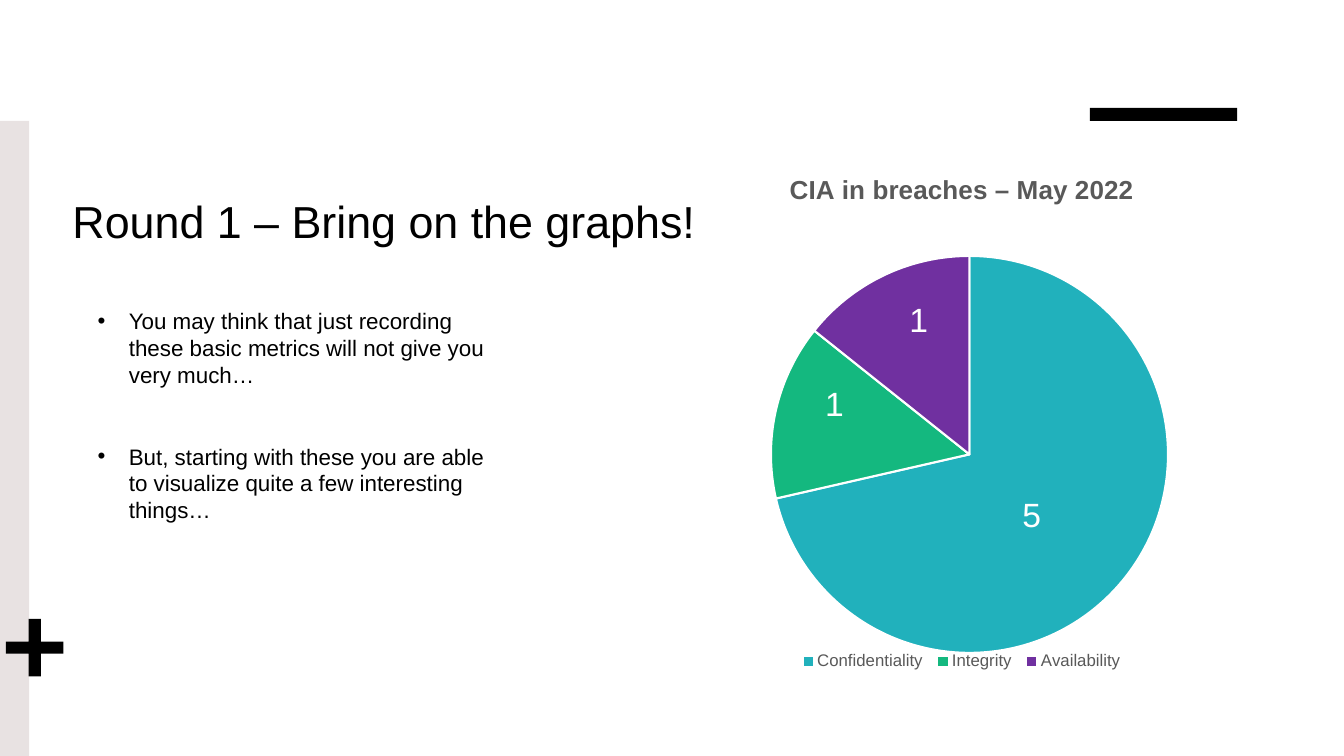
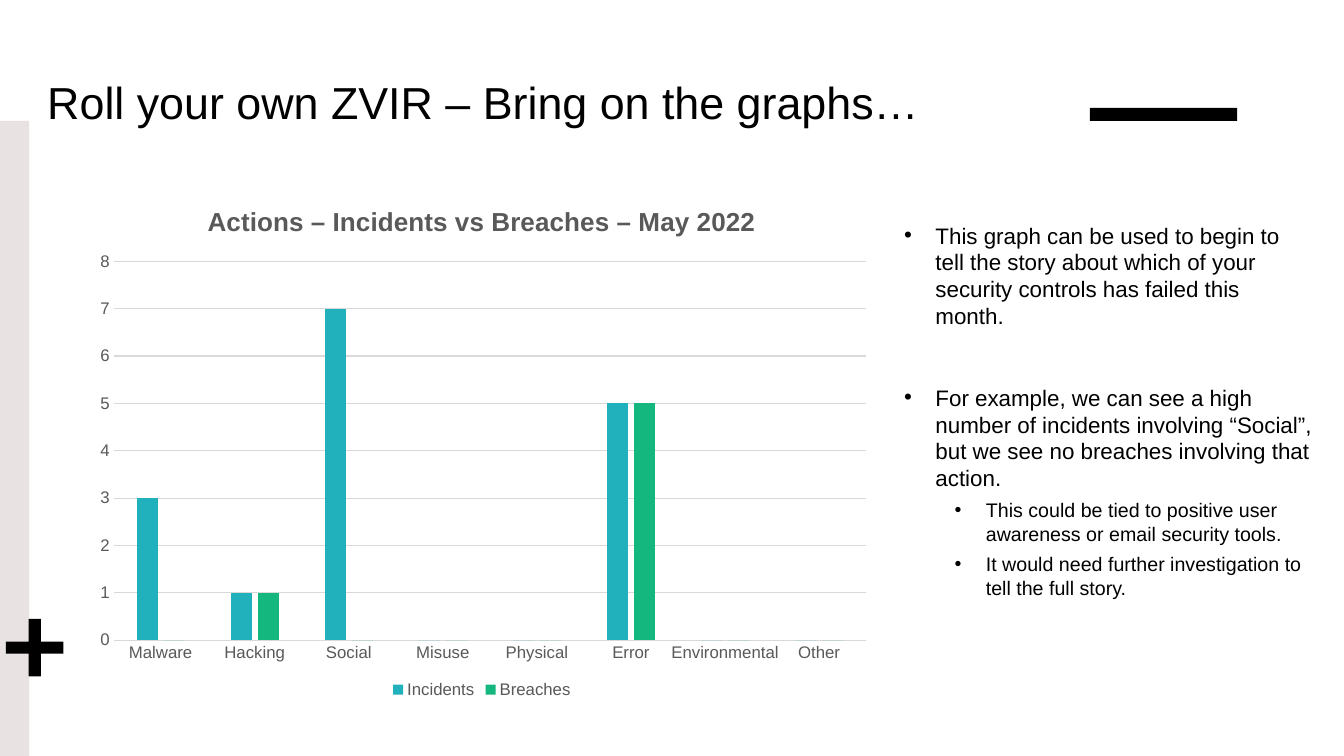
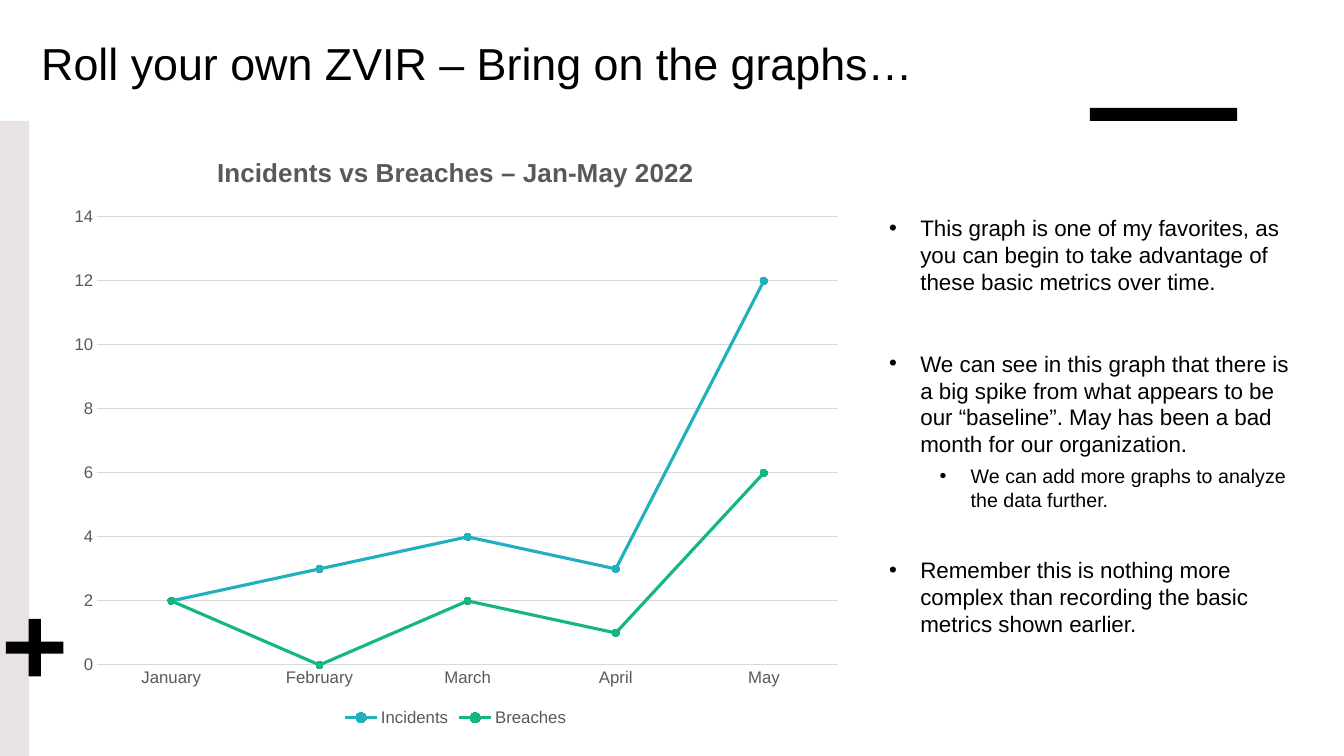
from lxml.etree import SubElement
from pptx import Presentation
from pptx.chart.data import CategoryChartData
from pptx.dml.color import RGBColor
from pptx.enum.chart import XL_CHART_TYPE as CT, XL_LABEL_POSITION as LP
from pptx.enum.chart import XL_LEGEND_POSITION as LEG, XL_MARKER_STYLE as MK
from pptx.enum.chart import XL_TICK_MARK as TM
from pptx.enum.shapes import MSO_SHAPE as SH
from pptx.enum.text import MSO_ANCHOR as ANCHOR
from pptx.oxml import parse_xml
from pptx.oxml.ns import nsdecls, qn
from pptx.util import Pt

PX = 9144
FONT = "Arial"
BLACK = RGBColor(0x00, 0x00, 0x00)
WHITE = RGBColor(0xFF, 0xFF, 0xFF)
BAND = RGBColor(0xE8, 0xE2, 0xE2)
GREY = RGBColor(0x59, 0x59, 0x59)
GRID = RGBColor(0xD9, 0xD9, 0xD9)
TEAL = RGBColor(0x21, 0xB1, 0xBC)
GREEN = RGBColor(0x14, 0xB8, 0x7F)
PURPLE = RGBColor(0x70, 0x30, 0xA0)
PALETTE = [TEAL, GREEN, PURPLE]
SIZES = [16, 14]
TITLE = "Roll your own ZVIR – Bring on the graphs…"


def px(*values):
    return [v * PX for v in values]


def style(font, size, color=BLACK, bold=False):
    for key, value in {"name": FONT, "size": Pt(size), "bold": bold}.items():
        setattr(font, key, value)
    font.color.rgb = color


def place(parent, index, **values):
    for old in parent.findall(qn("c:layout")):
        parent.remove(old)
    layout = parse_xml(f"<c:layout {nsdecls('c')}><c:manualLayout/></c:layout>")
    for tag, value in values.items():
        SubElement(layout[0], qn(f"c:{tag}")).set("val", str(value))
    parent.insert(index, layout)


class Deck:
    """Holds the shared style and the slide being built."""

    def __init__(self):
        self.prs = Presentation()
        self.prs.slide_width, self.prs.slide_height = px(1333, 750)

    def slide(self, title, x, y, h):
        self.s = self.prs.slides.add_slide(self.prs.slide_layouts[6])
        self.shape(SH.RECTANGLE, (1081, 107, 146, 13), BLACK)
        self.shape(SH.RECTANGLE, (0, 120, 29, 630), BAND)
        self.shape(SH.CROSS, (6, 614, 57, 57), BLACK).adjustments[0] = 0.395
        tf = self.frame((x, y, 929, h), ANCHOR.BOTTOM)
        r = tf.paragraphs[0].add_run()
        r.text = title
        style(r.font, 32)

    def shape(self, kind, box, color):
        sp = self.s.shapes.add_shape(kind, *px(*box))
        sp.shadow.inherit = False
        sp.fill.solid()
        sp.fill.fore_color.rgb = color
        sp.line.fill.background()
        return sp

    def frame(self, box, anchor, top=5):
        tf = self.s.shapes.add_textbox(*px(*box)).text_frame
        fmt = {"word_wrap": True, "vertical_anchor": anchor,
               "margin_left": 10 * PX, "margin_right": 10 * PX,
               "margin_top": top * PX, "margin_bottom": 5 * PX}
        for key, value in fmt.items():
            setattr(tf, key, value)
        return tf

    def bullets(self, box, items, top=5):
        tf = self.frame(box, ANCHOR.TOP, top)
        for i, (level, before, text) in enumerate(items):
            p = tf.add_paragraph() if i else tf.paragraphs[0]
            for key, value in {"level": level, "space_before": Pt(before)}.items():
                setattr(p, key, value)
            pPr = p._p.get_or_add_pPr()
            pPr.set("marL", str((56 + 50 * level) * PX))
            pPr.set("indent", str(-31 * PX))
            SubElement(pPr, qn("a:buFont")).set("typeface", FONT)
            SubElement(pPr, qn("a:buChar")).set("char", "•")
            r = p.add_run()
            r.text = text
            style(r.font, SIZES[level])

    def chart(self, kind, box, title, cats, series, plot):
        data = CategoryChartData()
        data.categories = cats
        for name, values in series.items():
            data.add_series(name, values)
        chart = self.s.shapes.add_chart(kind, *px(*box), data).chart
        style(chart.font, 12, GREY)
        chart.has_title = True
        tf = chart.chart_title.text_frame
        tf.text = title
        style(tf.paragraphs[0].runs[0].font, 18.6, GREY, True)
        chart.has_legend = True
        chart.legend.position = LEG.BOTTOM
        chart.legend.include_in_layout = False
        style(chart.legend.font, 12, GREY)
        x, y, w, h = plot
        place(chart._chartSpace.xpath(".//c:plotArea")[0], 0, layoutTarget="inner",
              xMode="edge", yMode="edge", x=x, y=y, w=w, h=h)
        return chart

    def pie(self, box, title, cats, values, plot, shifts):
        chart = self.chart(CT.PIE, box, title, cats, {"Series 1": values}, plot)
        place(chart.legend._element, 1, xMode="edge", yMode="edge",
              x=0.28, y=0.9, w=0.44, h=0.05)
        ser = chart.plots[0].series[0]
        for i, (color, (dx, dy)) in enumerate(zip(PALETTE, shifts)):
            point = ser.points[i]
            point.format.fill.solid()
            point.format.fill.fore_color.rgb = color
            point.format.line.color.rgb = WHITE
            point.format.line.width = Pt(1.5)
            style(point.data_label.font, 24, WHITE)
            point.data_label.position = LP.CENTER
            place(chart._chartSpace.xpath(".//c:dLbl")[i], 1, x=dx, y=dy)

    def axes(self, chart, top, step):
        cat, val = chart.category_axis, chart.value_axis
        for axis in (cat, val):
            axis.major_tick_mark = axis.minor_tick_mark = TM.NONE
            style(axis.tick_labels.font, 12, GREY)
        fmt = {"minimum_scale": 0, "maximum_scale": top, "major_unit": step,
               "has_major_gridlines": True}
        for key, value in fmt.items():
            setattr(val, key, value)
        val.format.line.fill.background()
        for line in (cat.format.line, val.major_gridlines.format.line):
            line.color.rgb = GRID
            line.width = Pt(0.75)
        chart.plots[0].vary_by_categories = False

    def columns(self, *args, top, step):
        chart = self.chart(CT.COLUMN_CLUSTERED, *args)
        self.axes(chart, top, step)
        plot = chart.plots[0]
        plot.gap_width, plot.overlap = 219, -27
        for ser, color in zip(plot.series, PALETTE):
            ser.format.fill.solid()
            ser.format.fill.fore_color.rgb = color

    def lines(self, *args, top, step):
        chart = self.chart(CT.LINE_MARKERS, *args)
        self.axes(chart, top, step)
        for ser, color in zip(chart.plots[0].series, PALETTE):
            ser.smooth = False
            ser.format.line.color.rgb = color
            ser.format.line.width = Pt(2.25)
            ser.marker.style, ser.marker.size = MK.CIRCLE, 5
            ser.marker.format.fill.solid()
            ser.marker.format.fill.fore_color.rgb = color
            ser.marker.format.line.color.rgb = color


def main():
    d = Deck()
    d.slide("Round 1 – Bring on the graphs!", 62, 132, 118)
    d.bullets((62, 259, 450, 348), [
        (0, 0, "You may think that just recording these basic metrics will not give you very much…"),
        (0, 39, "But, starting with these you are able to visualize quite a few interesting things…"),
    ], top=46)
    d.pie((575, 150, 758, 547), "CIA in breaches – May 2022",
          ["Confidentiality", "Integrity", "Availability"], [5, 1, 1],
          (0.25, 0.19, 0.52, 0.72), [(-0.02, 0), (-0.05, -0.05), (-0.01, -0.08)])

    d.slide(TITLE, 37, 14, 118)
    d.columns((81, 182, 794, 515), "Actions – Incidents vs Breaches – May 2022",
              ["Malware", "Hacking", "Social", "Misuse", "Physical", "Error",
               "Environmental", "Other"],
              {"Incidents": [3, 1, 7, 0, 0, 5, 0, 0], "Breaches": [0, 1, 0, 0, 0, 5, 0, 0]},
              (0.04, 0.15, 0.94, 0.73), top=8, step=1)
    d.bullets((862, 215, 450, 465), [
        (0, 0, "This graph can be used to begin to tell the story about which of your security controls has failed this month."),
        (0, 39, "For example, we can see a high number of incidents involving “Social”, but we see no breaches involving that action."),
        (1, 5, "This could be tied to positive user awareness or email security tools."),
        (1, 5, "It would need further investigation to tell the full story."),
    ])

    d.slide(TITLE, 31, 28, 66)
    d.bullets((847, 208, 450, 465), [
        (0, 0, "This graph is one of my favorites, as you can begin to take advantage of these basic metrics over time."),
        (0, 39, "We can see in this graph that there is a big spike from what appears to be our “baseline”. May has been a bad month for our organization."),
        (1, 5, "We can add more graphs to analyze the data further."),
        (0, 32, "Remember this is nothing more complex than recording the basic metrics shown earlier."),
    ])
    d.lines((57, 132, 790, 593), "Incidents vs Breaches – Jan-May 2022",
            ["January", "February", "March", "April", "May"],
            {"Incidents": [2, 3, 4, 3, 12], "Breaches": [2, 0, 2, 1, 6]},
            (0.05, 0.14, 0.93, 0.75), top=14, step=2)
    d.prs.save("out.pptx")


if __name__ == "__main__":
    main()
